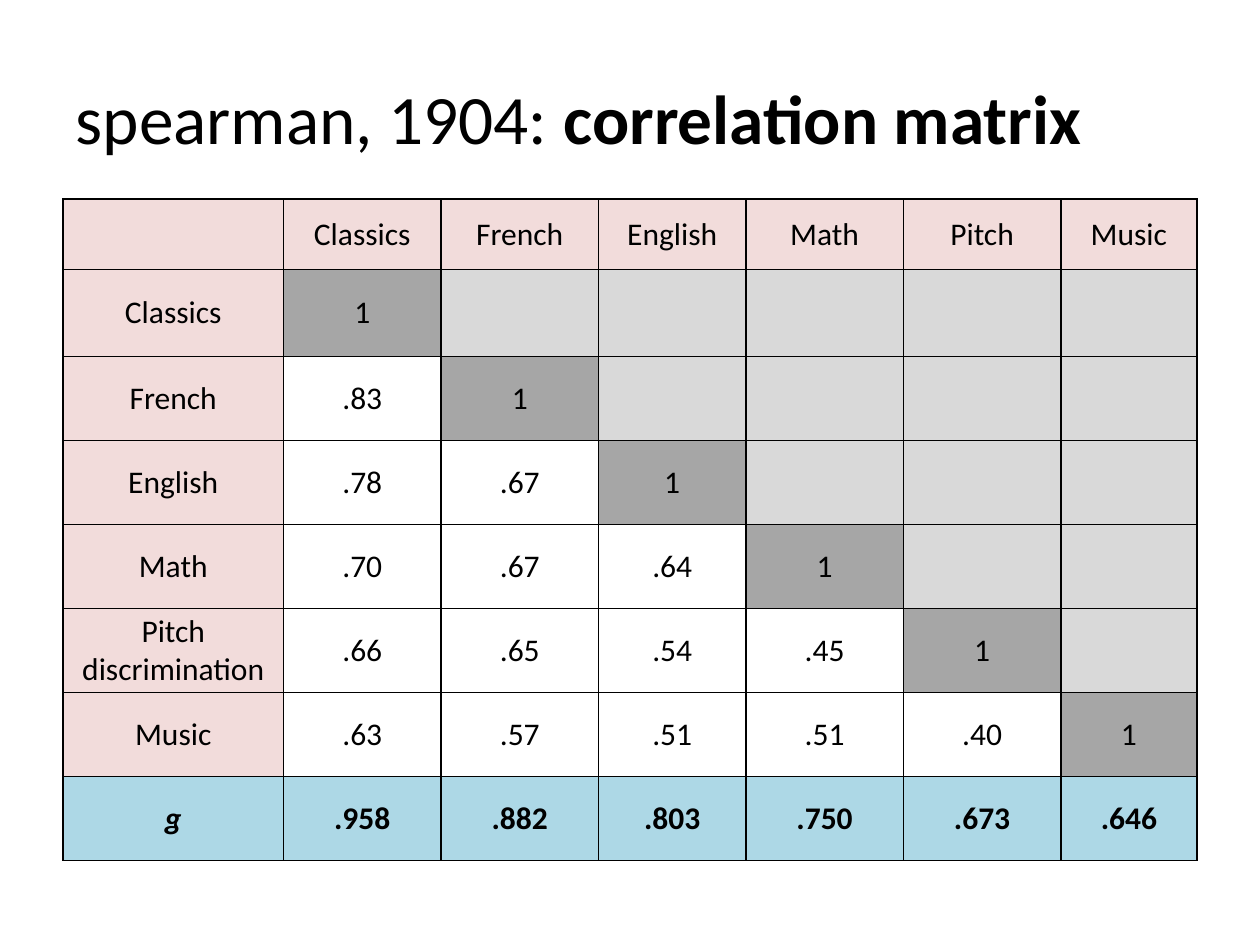
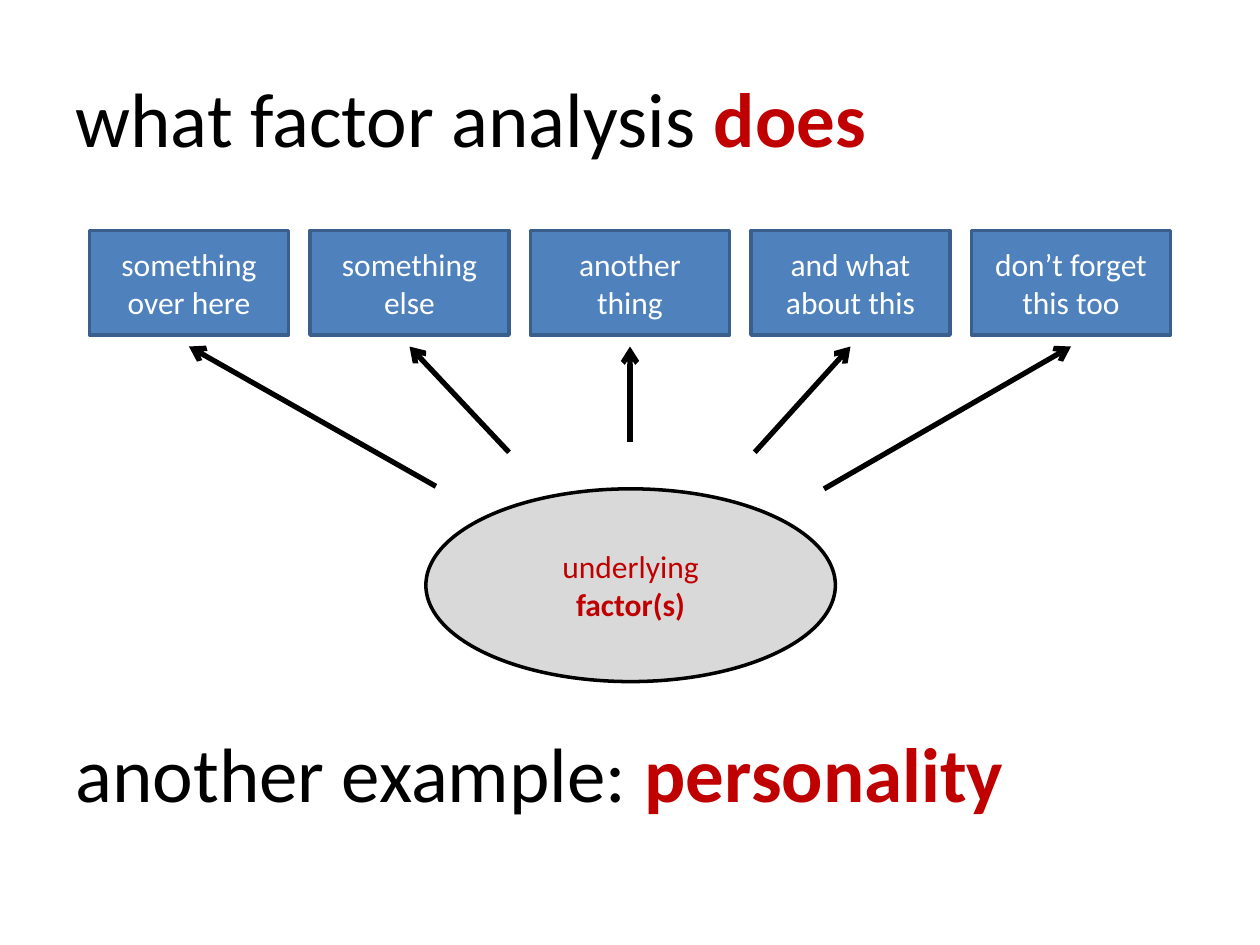
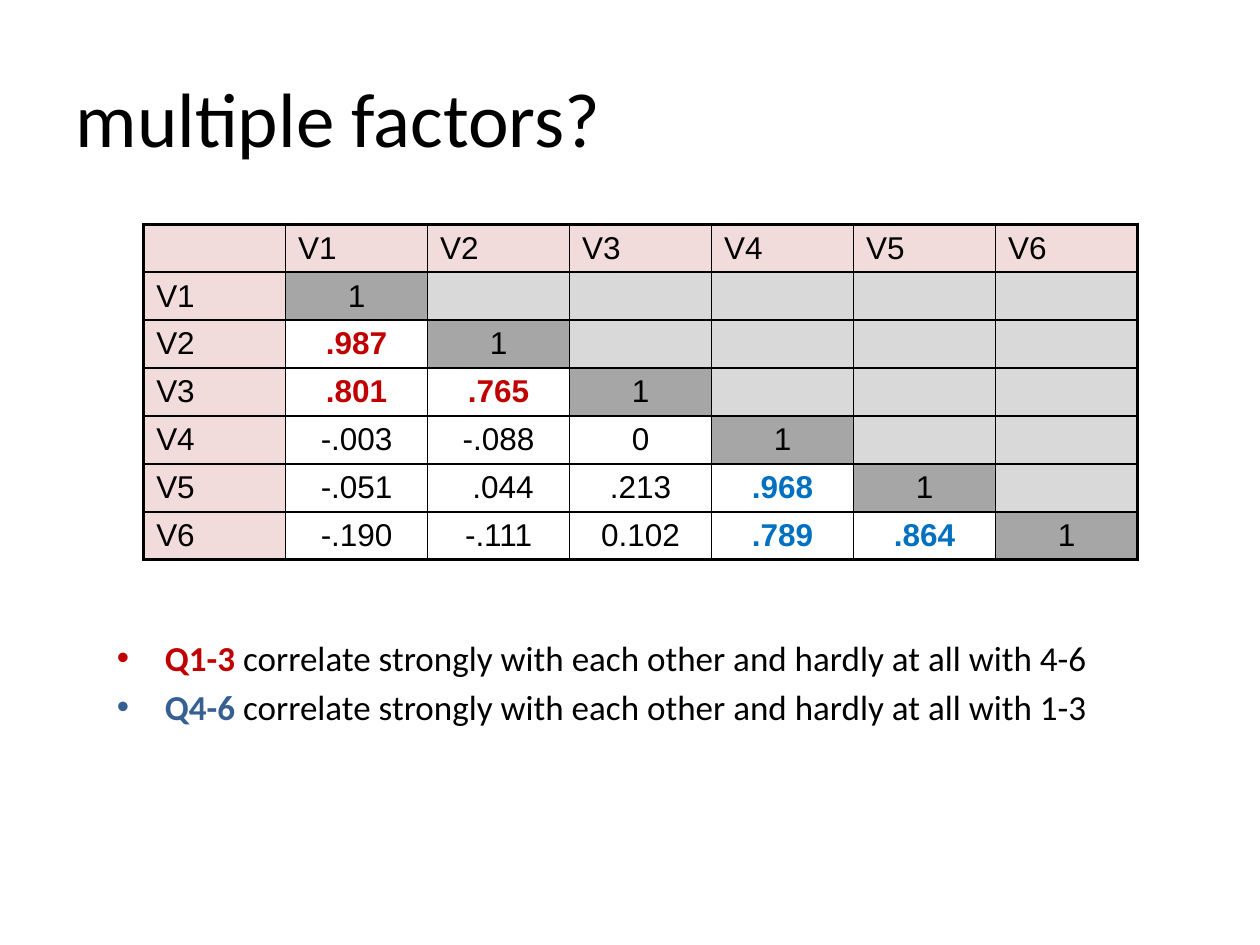
"""Build three slides about factor analysis."""
from lxml.etree import SubElement
from pptx import Presentation
from pptx.dml.color import RGBColor
from pptx.enum.shapes import MSO_CONNECTOR as Connector, MSO_SHAPE as Preset
from pptx.enum.text import MSO_ANCHOR as Anchor, PP_ALIGN as Align
from pptx.oxml import parse_xml
from pptx.oxml.ns import nsdecls, qn
from pptx.util import Emu, Inches, Pt

BLACK = RGBColor(0x00, 0x00, 0x00)
WHITE = RGBColor(0xFF, 0xFF, 0xFF)
RED = RGBColor(0xC0, 0x00, 0x00)
BRIGHT_BLUE = RGBColor(0x00, 0x70, 0xC0)
DEEP_BLUE = RGBColor(0x37, 0x60, 0x92)
BOX_BLUE = RGBColor(0x4F, 0x81, 0xBD)
BOX_EDGE = RGBColor(0x3A, 0x5F, 0x8C)
PINK = RGBColor(0xF2, 0xDC, 0xDB)
LIGHT_BLUE = RGBColor(0xAD, 0xD8, 0xE6)
MID_GREY = RGBColor(0xA6, 0xA6, 0xA6)
LIGHT_GREY = RGBColor(0xD9, 0xD9, 0xD9)

SLIDE_WIDTH, SLIDE_HEIGHT = Inches(10), Inches(7.5)
GRID_COLUMNS = 100
UNIT = SLIDE_WIDTH // GRID_COLUMNS
TITLE_LAYOUT = 5
TITLE_AREA = (5, 3, 90, 12.5)
CLOSING_AREA = (5, 55, 90, 12.5)

HEADLINE = {"name": "Calibri", "size": Pt(44), "color": BLACK}
LABEL = {"name": "Calibri", "size": Pt(18), "color": BLACK}
ARIAL_LABEL = {**LABEL, "name": "Arial"}
BULLET_TEXT = {**LABEL, "size": Pt(20)}
STRONG = {"bold": True}
STRONG_RED = {"bold": True, "color": RED}
TIGHT_MARGINS = {"margin_left": Inches(0.02), "margin_right": Inches(0.02),
                 "margin_top": Inches(0.01), "margin_bottom": Inches(0.01)}

SUBJECTS = ["Classics", "French", "English", "Math", "Pitch", "Music"]
SUBJECT_ROWS = SUBJECTS[:4] + ["Pitch discrimination", "Music"]
SUBJECT_VALUES = [[], [".83"], [".78", ".67"], [".70", ".67", ".64"],
                  [".66", ".65", ".54", ".45"],
                  [".63", ".57", ".51", ".51", ".40"]]
G_LOADINGS = [".958", ".882", ".803", ".750", ".673", ".646"]
VARIABLES = [f"V{number}" for number in range(1, 7)]
VARIABLE_VALUES = [[], [".987"], [".801", ".765"], ["-.003", "-.088", "0"],
                   ["-.051", " .044", ".213", ".968"],
                   ["-.190", "-.111", "0.102", ".789", ".864"]]
MEASURES = ["something\nover here", "something\nelse", "another\nthing",
            "and what about this", "don’t forget this too"]
ARROW_STARTS = [(34.6, 38.6), (40.4, 35.9), (50, 35.1), (59.9, 35.9), (65.4, 38.8)]


def grid(*lengths):
    """Convert grid units to slide lengths."""
    return [Emu(round(length * UNIT)) for length in lengths]


def set_attributes(target, values):
    """Set each named attribute on the target."""
    for name, value in values.items():
        setattr(target, name, value)


def add_runs(paragraph, base, runs):
    """Add (text, changes) runs, turning newlines into line breaks."""
    for text, changes in runs:
        style = {**base, **changes}
        color = style.pop("color")
        for index, line in enumerate(text.split("\n")):
            if index:
                paragraph.add_line_break()
            if line:
                run = paragraph.add_run()
                run.text = line
                set_attributes(run.font, style)
                run.font.color.rgb = color


def write_headline(shape, area, runs, base=HEADLINE):
    """Place a left-aligned headline and write its runs."""
    set_attributes(shape, dict(zip(("left", "top", "width", "height"), grid(*area))))
    set_attributes(shape.text_frame, {"word_wrap": True, "vertical_anchor": Anchor.MIDDLE})
    paragraph = shape.text_frame.paragraphs[0]
    paragraph.alignment = Align.LEFT
    add_runs(paragraph, base, runs)


def add_titled_slide(presentation, runs, base=HEADLINE):
    """Add a title-only slide with a formatted title."""
    slide = presentation.slides.add_slide(presentation.slide_layouts[TITLE_LAYOUT])
    write_headline(slide.shapes.title, TITLE_AREA, runs, base)
    return slide


def add_shape(slide, preset, area, fill, edge=None):
    """Add a flat preset shape with an optional 2 pt edge."""
    shape = slide.shapes.add_shape(preset, *grid(*area))
    shape.shadow.inherit = False
    shape.fill.solid()
    shape.fill.fore_color.rgb = fill
    if edge is None:
        shape.line.fill.background()
    else:
        shape.line.color.rgb = edge
        shape.line.width = Pt(2)
    shape.text_frame.word_wrap = True
    return shape


def add_labelled_shape(slide, preset, area, fill, edge, color, runs):
    """Add a shape with a centred label."""
    shape = add_shape(slide, preset, area, fill, edge)
    shape.text_frame.vertical_anchor = Anchor.MIDDLE
    paragraph = shape.text_frame.paragraphs[0]
    paragraph.alignment = Align.CENTER
    add_runs(paragraph, {**LABEL, "color": color}, runs)


def add_arrow(slide, start, end):
    """Add a black arrow between two grid points."""
    arrow = slide.shapes.add_connector(Connector.STRAIGHT, *grid(*start, *end))
    arrow.line.color.rgb = BLACK
    arrow.line.width = Pt(3)
    properties = arrow.element.spPr
    SubElement(properties.find(qn("a:ln")), qn("a:tailEnd"), type="arrow")
    SubElement(properties, qn("a:effectLst"))


def set_borders(cell, widths):
    """Give a cell left, right, top and bottom borders in points."""
    properties = cell._tc.get_or_add_tcPr()
    for index, (side, width) in enumerate(zip("LRTB", widths)):
        properties.insert(index, parse_xml(
            f'<a:ln{side} {nsdecls("a")} w="{Pt(width)}"><a:solidFill>'
            f'<a:srgbClr val="{BLACK}"/></a:solidFill></a:ln{side}>'))


def matrix_rows(headings, labels, values):
    """Lay out a lower triangle with headings and a diagonal of ones."""
    size = len(headings)
    body = [[label, *numbers, "1", *[""] * (size - len(numbers) - 1)]
            for label, numbers in zip(labels, values)]
    return [["", *headings], *body]


def matrix_fill(row, column, size):
    """Choose a fill from a cell's place in the matrix."""
    if row > size:
        return LIGHT_BLUE
    if row == 0 or column == 0:
        return PINK
    if row == column:
        return MID_GREY
    return LIGHT_GREY if column > row else WHITE


def add_matrix(slide, area, rows, widths, heights, style, outer=1):
    """Add a bordered correlation table styled by style(row, column)."""
    last_row, last_column = len(rows) - 1, len(rows[0]) - 1
    frame = slide.shapes.add_table(len(rows), len(rows[0]), *grid(*area))
    table = frame.table
    for column, width in zip(table.columns, grid(*widths)):
        column.width = width
    for table_row, height in zip(table.rows, grid(*heights)):
        table_row.height = height
    for row, texts in enumerate(rows):
        for column, text in enumerate(texts):
            cell = table.cell(row, column)
            cell.fill.solid()
            cell.fill.fore_color.rgb = matrix_fill(row, column, last_column)
            edges = (column == 0, column == last_column, row == 0, row == last_row)
            set_borders(cell, [outer if edge else 1 for edge in edges])
            base, alignment, cell_format = style(row, column)
            set_attributes(cell, cell_format if text else TIGHT_MARGINS)
            paragraph = cell.text_frame.paragraphs[0]
            paragraph.alignment = alignment
            if text:
                add_runs(paragraph, base, [(text, {})])


def subject_style(row, column):
    """Centre every subject cell and embolden the g row."""
    is_g = row > len(SUBJECTS)
    base = {**LABEL, "bold": is_g, "italic": is_g and column == 0}
    return base, Align.CENTER, {**TIGHT_MARGINS, "vertical_anchor": Anchor.MIDDLE}


def variable_style(row, column):
    """Colour the correlations inside each group of three variables."""
    base = dict(ARIAL_LABEL)
    if 0 < column < row and (row - 1) // 3 == (column - 1) // 3:
        base.update(bold=True, color=RED if row <= 3 else BRIGHT_BLUE)
    return base, Align.CENTER if row and column else Align.LEFT, {}


def add_bullets(slide, area, bullets):
    """Add a white panel of bulleted paragraphs."""
    frame = add_shape(slide, Preset.RECTANGLE, area, WHITE).text_frame
    frame.vertical_anchor = Anchor.TOP
    for index, runs in enumerate(bullets):
        paragraph = frame.add_paragraph() if index else frame.paragraphs[0]
        set_attributes(paragraph, {"alignment": Align.LEFT, "space_before": Pt(4)})
        properties = paragraph._p.get_or_add_pPr()
        properties.set("marL", str(Inches(0.38)))
        properties.set("indent", str(-Inches(0.38)))
        SubElement(properties, qn("a:buFont"), typeface="Arial")
        SubElement(properties, qn("a:buChar"), char="•")
        add_runs(paragraph, BULLET_TEXT, runs)


def build_correlation_slide(presentation):
    """Show the subject correlations with their g loadings."""
    runs = [("spearman, 1904: ", {}), ("correlation matrix", STRONG)]
    slide = add_titled_slide(presentation, runs, {**HEADLINE, "size": Pt(39.6)})
    rows = matrix_rows(SUBJECTS, SUBJECT_ROWS, SUBJECT_VALUES) + [["g", *G_LOADINGS]]
    add_matrix(slide, (5, 15.8, 90, 52.5), rows,
               [17.5, 12.5, 12.5, 11.7, 12.5, 12.5, 10.8],
               [5.6, 6.9] + [6.67] * 6, subject_style)


def build_factor_slide(presentation):
    """Show one underlying factor pointing at five measures."""
    runs = [("what factor analysis ", {}), ("does", STRONG_RED)]
    slide = add_titled_slide(presentation, runs)
    for index, text in enumerate(MEASURES):
        area = (7.1 + 17.5 * index, 18.3, 15.8, 8.3)
        add_labelled_shape(slide, Preset.RECTANGLE, area, BOX_BLUE, BOX_EDGE,
                           WHITE, [(text, {})])
    add_labelled_shape(slide, Preset.OVAL, (33.8, 38.8, 32.5, 15.3), LIGHT_GREY,
                       BLACK, RED, [("underlying\n", {}), ("factor(s)", STRONG)])
    for index, start in enumerate(ARROW_STARTS):
        add_arrow(slide, start, (15 + 17.5 * index, 27.5))
    closing = slide.shapes.add_textbox(*grid(*CLOSING_AREA))
    write_headline(closing, CLOSING_AREA,
                   [("another example: ", {}), ("personality", STRONG_RED)])


def build_multiple_factor_slide(presentation):
    """Show two groups of correlated variables."""
    slide = add_titled_slide(presentation, [("multiple factors?", {})])
    rows = matrix_rows(VARIABLES, VARIABLES, VARIABLE_VALUES)
    add_matrix(slide, (11.4, 17.8, 78.9, 28), rows, [78.9 / 7] * 7, [3.4] * 7,
               variable_style, outer=2.25)
    add_bullets(slide, (8.3, 50, 84.4, 20.6), [
        [("Q1-3 ", STRONG_RED),
         ("correlate strongly with each other and hardly at all with 4-6", {})],
        [("Q4-6", {"bold": True, "color": DEEP_BLUE}),
         (" correlate strongly with each other and hardly at all with 1-3", {})],
    ])


def main():
    """Build and save the presentation."""
    presentation = Presentation()
    set_attributes(presentation, {"slide_width": SLIDE_WIDTH, "slide_height": SLIDE_HEIGHT})
    build_correlation_slide(presentation)
    build_factor_slide(presentation)
    build_multiple_factor_slide(presentation)
    presentation.save("out.pptx")


if __name__ == "__main__":
    main()
